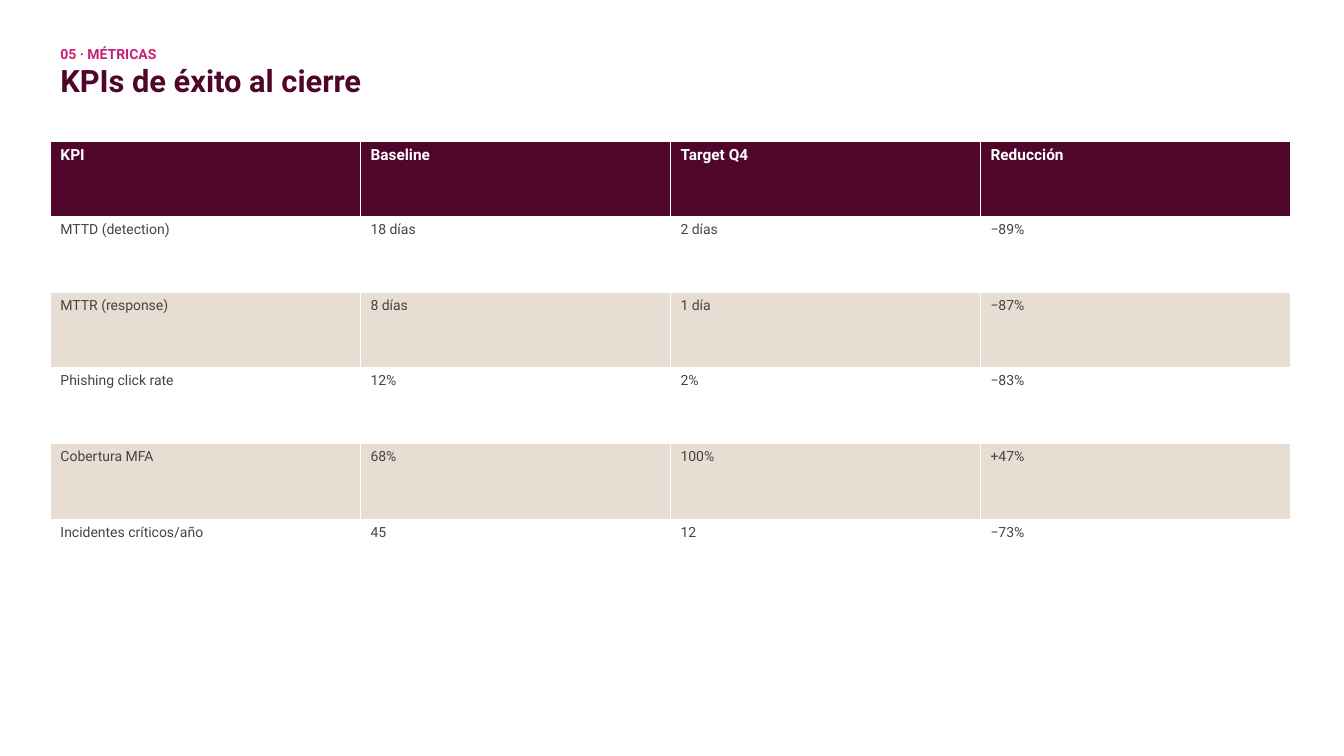
from dataclasses import dataclass

from pptx import Presentation
from pptx.dml.color import RGBColor
from pptx.enum.text import MSO_AUTO_SIZE, PP_ALIGN
from pptx.util import Inches, Pt

LEFT = PP_ALIGN.LEFT
GROW = MSO_AUTO_SIZE.SHAPE_TO_FIT_TEXT

MARGIN = 0.5
COLUMN = 3.075
ROW = 0.75

KPIS = [
    ["KPI", "Baseline", "Target Q4", "Reducción"],
    ["MTTD (detection)", "18 días", "2 días", "−89%"],
    ["MTTR (response)", "8 días", "1 día", "−87%"],
    ["Phishing click rate", "12%", "2%", "−83%"],
    ["Cobertura MFA", "68%", "100%", "+47%"],
    ["Incidentes críticos/año", "45", "12", "−73%"],
]


@dataclass(frozen=True)
class Theme:
    font: str = "Roboto"
    dark: str = "4F062A"
    accent: str = "C8217A"
    body: str = "444444"
    white: str = "FFFFFF"
    band: str = "E8DDD2"
    title_size: int = 22
    header_size: int = 11
    body_size: int = 10


def write(p, text, *, font, size, color, bold=False):
    p.alignment = LEFT
    r = p.add_run()
    r.text = text
    r.font.name = font
    r.font.size = Pt(size)
    r.font.bold = bold
    r.font.color.rgb = RGBColor.from_string(color)


class Deck:
    def __init__(self, theme):
        self.theme = theme
        self.prs = Presentation()
        self.prs.slide_width = Inches(13.33)
        self.prs.slide_height = Inches(7.5)
        self.s = self.prs.slides.add_slide(self.prs.slide_layouts[6])

    def heading(self, kicker, title, top, columns):
        t = self.theme
        box = self.s.shapes.add_textbox(
            Inches(MARGIN), Inches(top), Inches(columns * COLUMN), Inches(0.5))
        tf = box.text_frame
        tf.word_wrap = True
        tf.auto_size = GROW
        write(tf.paragraphs[0], kicker, font=t.font, size=t.body_size,
              color=t.accent, bold=True)
        write(tf.add_paragraph(), title, font=t.font, size=t.title_size,
              color=t.dark, bold=True)

    def table(self, rows, top):
        """Add a table with a dark header and alternating body fills."""
        t = self.theme
        n_rows, n_cols = len(rows), len(rows[0])
        table = self.s.shapes.add_table(
            n_rows, n_cols, Inches(MARGIN), Inches(top),
            Inches(n_cols * COLUMN), Inches(n_rows * ROW)).table
        for i, values in enumerate(rows):
            if i == 0:
                fill, size, color = t.dark, t.header_size, t.white
            else:
                fill = t.white if i % 2 else t.band
                size, color = t.body_size, t.body
            for j, value in enumerate(values):
                cell = table.cell(i, j)
                cell.fill.solid()
                cell.fill.fore_color.rgb = RGBColor.from_string(fill)
                write(cell.text_frame.paragraphs[0], value, font=t.font,
                      size=size, color=color, bold=i == 0)


def main():
    deck = Deck(Theme())
    deck.heading("05 · MÉTRICAS", "KPIs de éxito al cierre", top=0.4, columns=4)
    deck.table(KPIS, top=1.4)
    deck.prs.save("out.pptx")


if __name__ == "__main__":
    main()
